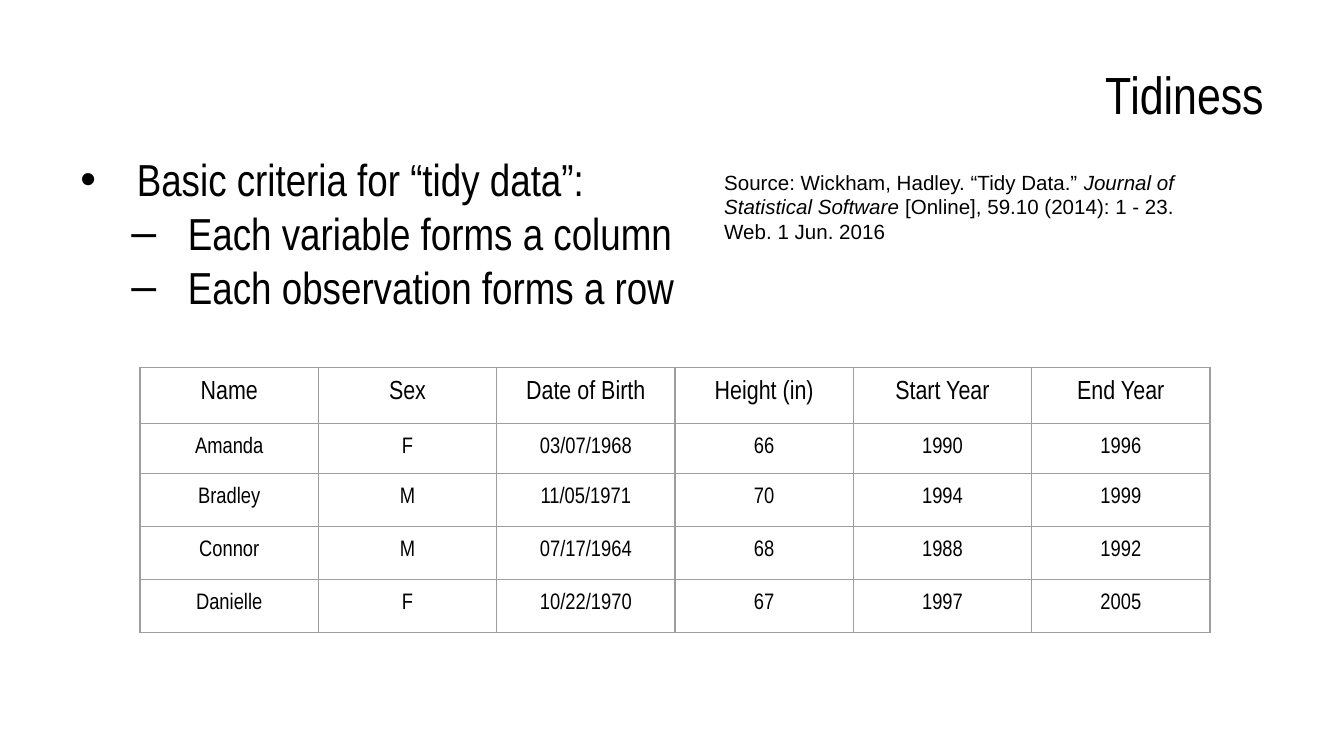
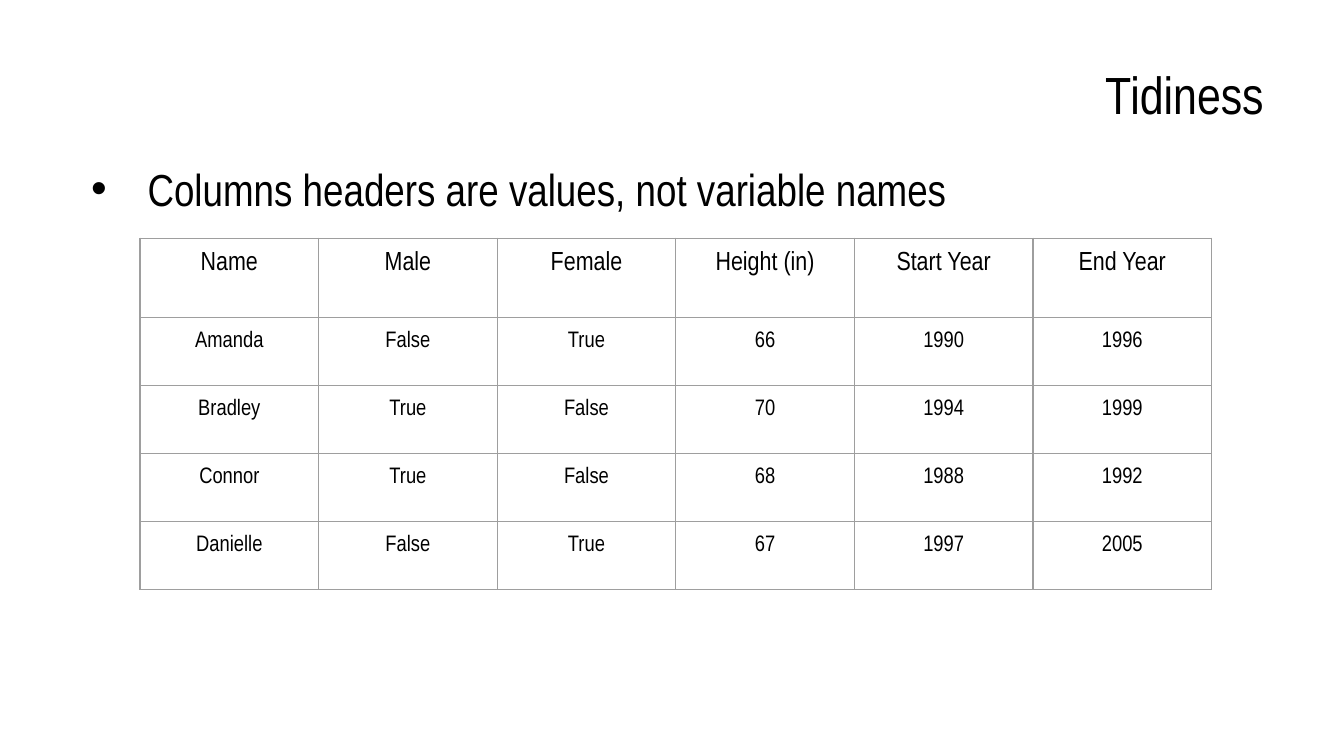
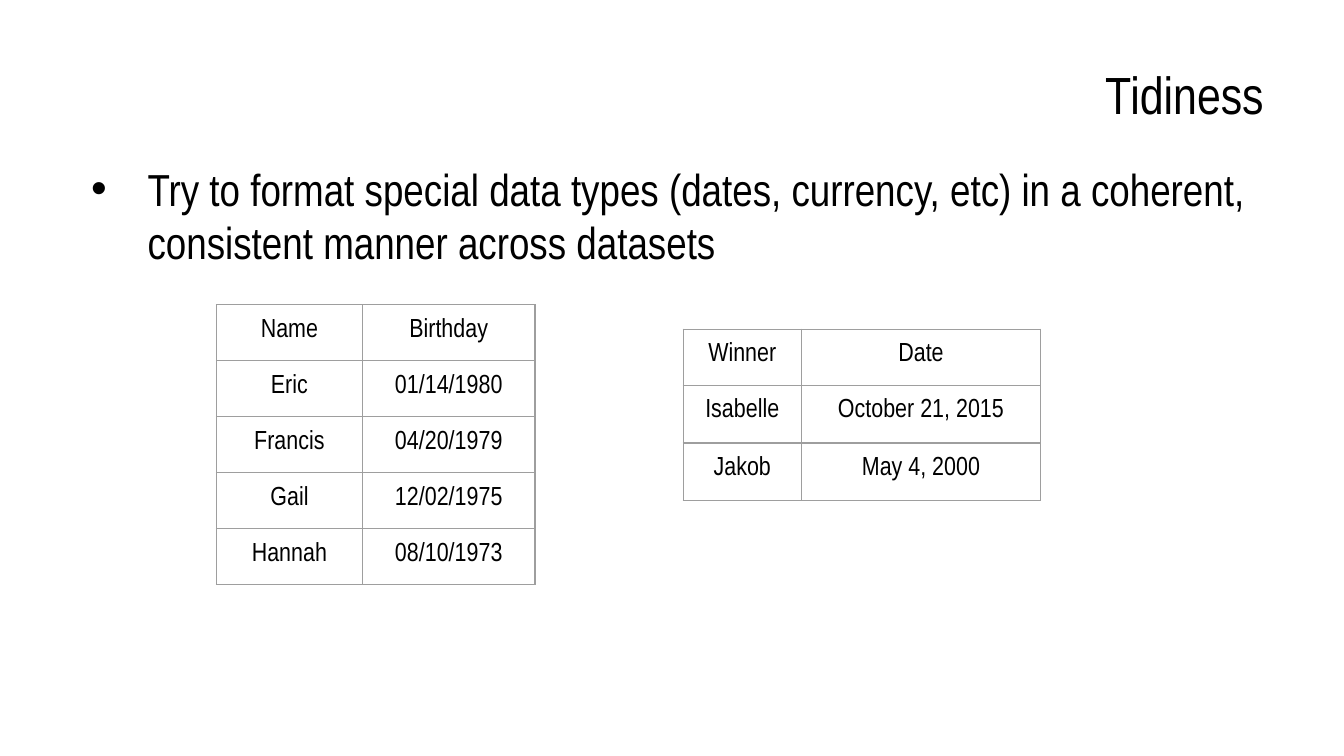
from collections import namedtuple

from lxml.etree import SubElement
from pptx import Presentation
from pptx.dml.color import RGBColor
from pptx.enum.text import MSO_ANCHOR, PP_ALIGN
from pptx.oxml.ns import qn
from pptx.util import Inches, Pt

WIDE = Inches(10)
HIGH = WIDE * 9 // 16
UNIT = WIDE // 100  # one grid cell: 100 columns across, 56 rows down
INK = {"text": "000000", "rule": "9E9E9E", "page": "FFFFFF"}
FACE = "Arial Narrow"
MARKS = [("•", 5), ("–", 8.8)]  # bullet sign and text indent of each level
HANG = 4.2

Box = namedtuple("Box", "left top width height")
HEAD = Box(5, 2.3, 90, 9.4)
BODY = Box(5, 11, 90, 37.1)
LIST = Box(4.2, 10.3, 58, 15)
NOTE = Box(52.9, 11.63, 36.4, 7.3)


def grid(count):
    return int(count * UNIT)


def add_run(para, words, size, face=FACE, slant=False):
    run = para.add_run()
    run.text = words
    font = run.font
    font.size, font.name, font.italic = Pt(size), face, slant
    font.color.rgb = RGBColor.from_string(INK["text"])


def pad(part, below=1):
    """Set the insets of a text frame or a cell."""
    part.margin_left = part.margin_right = part.margin_top = grid(1)
    part.margin_bottom = grid(below)


def add_box(slide, box):
    frame = slide.shapes.add_textbox(*map(grid, box)).text_frame
    frame.word_wrap = True
    pad(frame)
    return frame


def add_mark(para, level):
    sign, indent = MARKS[level]
    para.level = level
    props = para._p.get_or_add_pPr()
    props.set("marL", str(grid(indent)))
    props.set("indent", str(-grid(HANG)))
    tint = SubElement(props, qn("a:buClr"))
    SubElement(tint, qn("a:srgbClr"), val=INK["text"])
    SubElement(props, qn("a:buFont"), typeface="Arial")
    SubElement(props, qn("a:buChar"), char=sign)


def add_list(slide, box, items):
    frame = add_box(slide, box)
    for place, (level, words) in enumerate(items):
        para = frame.add_paragraph() if place else frame.paragraphs[0]
        add_mark(para, level)
        add_run(para, words, 24)


def add_note(slide, box, parts):
    para = add_box(slide, box).paragraphs[0]
    for words, slant in parts:
        add_run(para, words, 11, "Arial", slant)


def rule_cell(cell):
    props = cell._tc.get_or_add_tcPr()
    for side in ("lnL", "lnR", "lnT", "lnB"):
        line = SubElement(props, qn("a:" + side), w=str(Pt(0.75)))
        fill = SubElement(line, qn("a:solidFill"))
        SubElement(fill, qn("a:srgbClr"), val=INK["rule"])
    cell.fill.background()


def add_grid(slide, left, top, wides, highs, rows, size):
    """Draw a ruled table; size is the type size below the heading row."""
    box = Box(left, top, sum(wides), sum(highs))
    table = slide.shapes.add_table(
        len(highs), len(wides), *map(grid, box)).table
    table.first_row = table.horz_banding = False
    for column, wide in zip(table.columns, wides):
        column.width = grid(wide)
    for r, (row, high) in enumerate(zip(rows, highs)):
        table.rows[r].height = grid(high)
        for c, words in enumerate(row):
            cell = table.cell(r, c)
            pad(cell, 0.7)
            rule_cell(cell)
            para = cell.text_frame.paragraphs[0]
            para.alignment = PP_ALIGN.CENTER
            add_run(para, words, size if r else 14)


def add_page(deck):
    slide = deck.slides.add_slide(deck.slide_layouts[6])
    back = slide.background.fill
    back.solid()
    back.fore_color.rgb = RGBColor.from_string(INK["page"])
    frame = add_box(slide, HEAD)
    frame.vertical_anchor = MSO_ANCHOR.MIDDLE
    para = frame.paragraphs[0]
    para.alignment = PP_ALIGN.RIGHT
    add_run(para, "Tidiness", 28)
    return slide


def show_rules(deck):
    slide = add_page(deck)
    add_list(slide, LIST, [
        (0, "Basic criteria for “tidy data”:"),
        (1, "Each variable forms a column"),
        (1, "Each observation forms a row"),
    ])
    add_grid(slide, 10.42, 27.33, [13.27] * 6, [4.17, 3.75] + [3.94] * 3, [
        ("Name", "Sex", "Date of Birth", "Height (in)", "Start Year", "End Year"),
        ("Amanda", "F", "03/07/1968", "66", "1990", "1996"),
        ("Bradley", "M", "11/05/1971", "70", "1994", "1999"),
        ("Connor", "M", "07/17/1964", "68", "1988", "1992"),
        ("Danielle", "F", "10/22/1970", "67", "1997", "2005"),
    ], 12)
    add_note(slide, NOTE, [
        ("Source: Wickham, Hadley. “Tidy Data.” ", False),
        ("Journal of Statistical Software", True),
        (" [Online], 59.10 (2014): 1 - 23. Web. 1 Jun. 2016", False),
    ])


def show_heads(deck):
    slide = add_page(deck)
    add_list(slide, BODY, [(0, "Columns headers are values, not variable names")])
    add_grid(slide, 10.42, 17.73, [13.29] * 6, [5.9] + [5.06] * 4, [
        ("Name", "Male", "Female", "Height (in)", "Start Year", "End Year"),
        ("Amanda", "False", "True", "66", "1990", "1996"),
        ("Bradley", "True", "False", "70", "1994", "1999"),
        ("Connor", "True", "False", "68", "1988", "1992"),
        ("Danielle", "False", "True", "67", "1997", "2005"),
    ], 12)


def show_dates(deck):
    slide = add_page(deck)
    add_list(slide, BODY, [
        (0, "Try to format special data types (dates, currency, etc) "
            "in a coherent, consistent manner across datasets"),
    ])
    add_grid(slide, 16.1, 22.67, [10.88, 12.83], [4.17] * 5, [
        ("Name", "Birthday"),
        ("Eric", "01/14/1980"),
        ("Francis", "04/20/1979"),
        ("Gail", "12/02/1975"),
        ("Hannah", "08/10/1973"),
    ], 14)
    add_grid(slide, 50.83, 24.5, [8.8, 17.8], [4.17, 4.3, 4.3], [
        ("Winner", "Date"),
        ("Isabelle", "October 21, 2015"),
        ("Jakob", "May 4, 2000"),
    ], 14)


def main():
    deck = Presentation()
    deck.slide_width, deck.slide_height = WIDE, HIGH
    for show in (show_rules, show_heads, show_dates):
        show(deck)
    deck.save("out.pptx")


if __name__ == "__main__":
    main()
